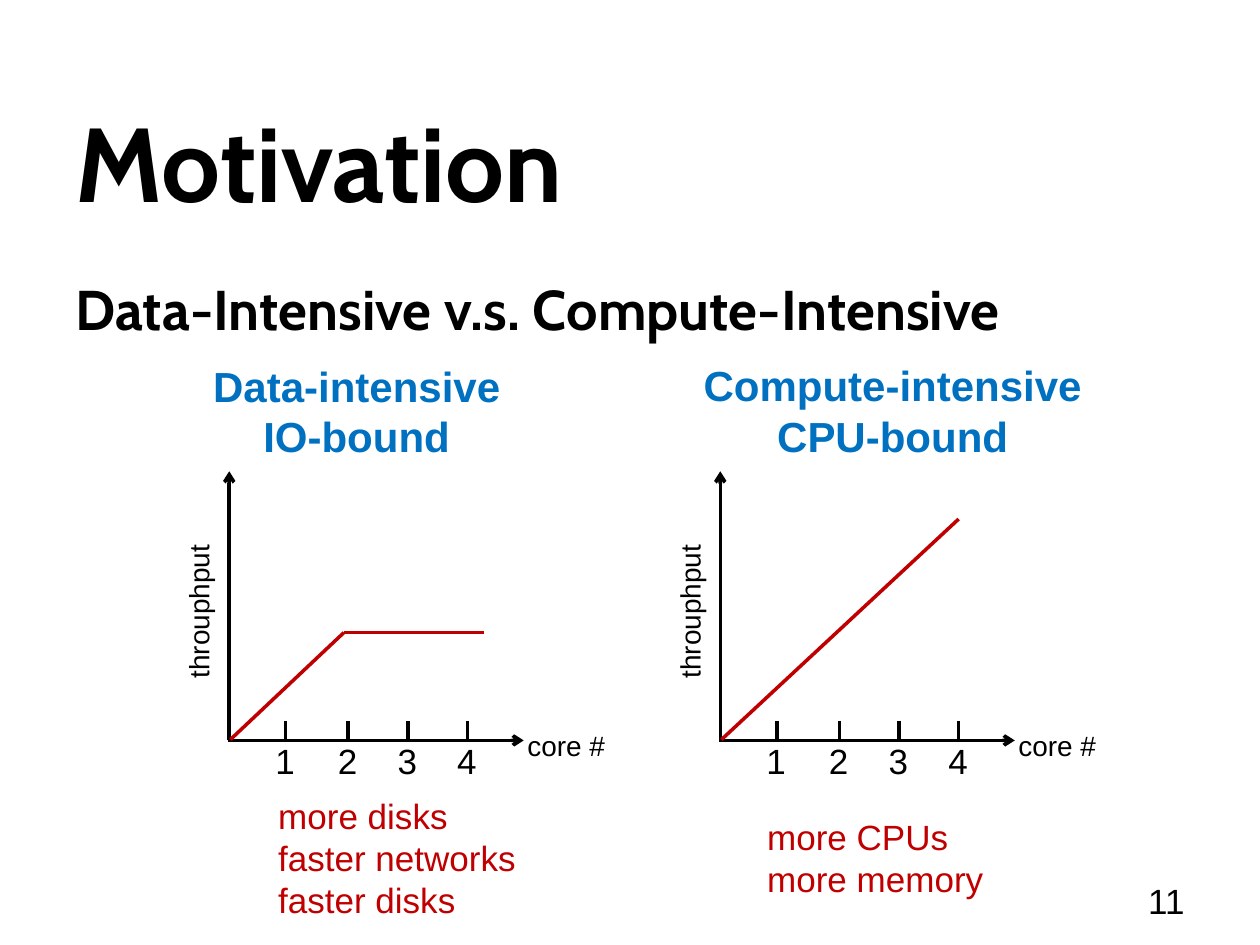
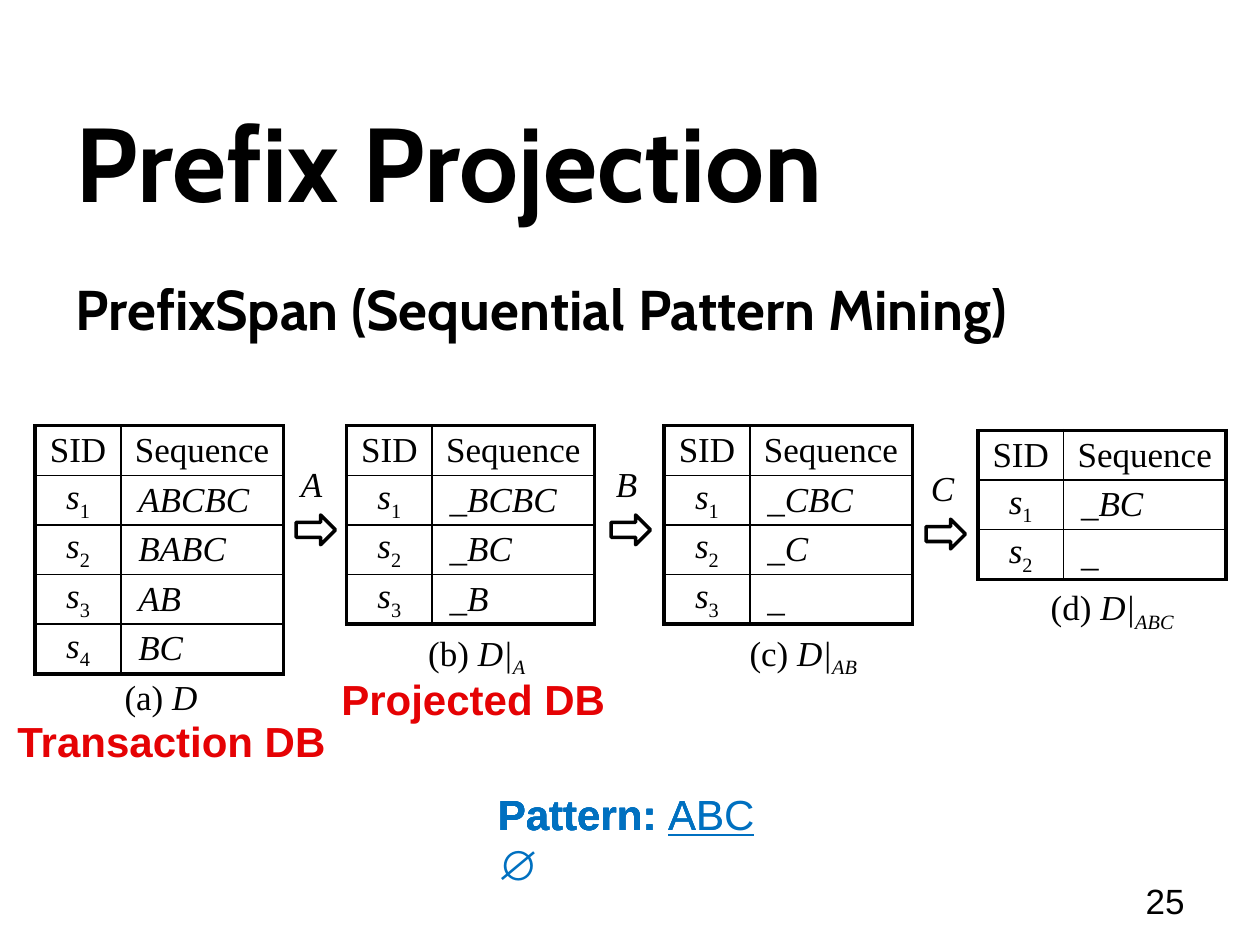
from pptx import Presentation
from pptx.dml.color import RGBColor as Rgb
from pptx.enum.shapes import MSO_CONNECTOR as Conn, MSO_SHAPE as Shape
from pptx.enum.text import MSO_ANCHOR as Anchor, MSO_AUTO_SIZE as Auto, PP_ALIGN as Align
from pptx.oxml import parse_xml
from pptx.oxml.ns import nsdecls
from pptx.oxml.xmlchemy import OxmlElement as Elem
from pptx.util import Pt

INK = {"black": "000000", "blue": "0070C0", "dark": "C00000", "red": "E50204"}

# Text looks
HEAD = {"name": "Cabin", "size": Pt(60), "bold": True, "ink": "black"}
LEAD = {**HEAD, "size": Pt(32)}
NUM = {"name": "Arial", "size": Pt(20), "ink": "black"}
AXIS = {**NUM, "size": Pt(16)}
KIND = {**NUM, "size": Pt(24), "bold": True, "ink": "blue"}
NEED = {**NUM, "ink": "dark"}
MARK = {**KIND, "ink": "red"}
MATH = {**NUM, "name": "Times New Roman"}

# Changes within a line
ITAL = {"italic": True}
SUB = {"sub": True}
PLAIN = {"bold": False}
UNDER = {"bold": False, "underline": True}


def put(frame, paras, look, align=Align.LEFT):
    """Write paragraphs, each a list of (text, changes to the look)."""
    for i, runs in enumerate(paras):
        para = frame.add_paragraph() if i else frame.paragraphs[0]
        para.alignment = align
        for text, diff in runs:
            run = para.add_run()
            run.text = text
            for key, val in {**look, **diff}.items():
                if key == "ink":
                    run.font.color.rgb = Rgb.from_string(INK[val])
                elif key == "sub":
                    run.font._element.set("baseline", "-25000")
                else:
                    setattr(run.font, key, val)


def line(slide, x1, y1, x2, y2, ink="black", arrow=False):
    item = slide.shapes.add_connector(Conn.STRAIGHT, Pt(x1), Pt(y1), Pt(x2), Pt(y2))
    item.line.color.rgb = Rgb.from_string(INK[ink])
    item.line.width = Pt(2)
    props = item._element.spPr
    if arrow:
        tip = Elem("a:tailEnd")
        tip.set("type", "arrow")
        props.find("{*}ln").append(tip)
    props.append(Elem("a:effectLst"))


deck = Presentation()
deck.slide_width, deck.slide_height = Pt(720), Pt(540)

# Title, lead line and page number of each slide
pages = []
for title, lead, page in [
    ("Motivation", "Data-Intensive v.s. Compute-Intensive", "11"),
    ("Prefix Projection", "PrefixSpan (Sequential Pattern Mining)", "25"),
]:
    slide = deck.slides.add_slide(deck.slide_layouts[1])
    pages.append(slide)
    head, body = slide.placeholders
    foot = slide.shapes.add_textbox(Pt(516), Pt(500.4), Pt(168), Pt(28.8))
    for item, box, anchor in [
        (head, (36, 46.8, 648, 90), Anchor.MIDDLE),
        (body, (36, 153.4, 670, 332.6), Anchor.TOP),
        (foot, (516, 500.4, 168, 28.8), Anchor.MIDDLE),
    ]:
        item.left, item.top, item.width, item.height = map(Pt, box)
        frame = item.text_frame
        for key, val in {"auto_size": Auto.NONE, "word_wrap": True,
                         "vertical_anchor": anchor}.items():
            setattr(frame, key, val)
    props = body.text_frame.paragraphs[0]._p.get_or_add_pPr()
    props.set("marL", "0")
    props.set("indent", "0")
    props.append(Elem("a:buNone"))
    body.text_frame.paragraphs[0].space_before = Pt(0)
    put(head.text_frame, [[(title, {})]], HEAD)
    put(body.text_frame, [[(lead, {})]], LEAD)
    put(foot.text_frame, [[(page, {})]], NUM, Align.RIGHT)

graph, span = pages
notes = []  # slide, box, paragraphs, look, alignment, rotation

# Throughput graphs
BASE = 423.1
for x, kind, kbox, curve, needs, nbox in [
    (131, ["Data-intensive", "IO-bound"], (113.8, 202.3, 180, 65.4),
     [(0.7, 422.6), (65.5, 361.5), (145.4, 361.5)],
     ["more disks", "faster networks", "faster disks"], (151.9, 450.7, 151.2, 80)),
    (411.6, ["Compute-intensive", "CPU-bound"], (393.8, 202.1, 232.6, 65.4),
     [(0.7, 422.6), (136.2, 296.6)],
     ["more CPUs", "more memory"], (431.3, 462.2, 139, 55.4)),
]:
    line(graph, x, BASE, x, 269.3, arrow=True)
    line(graph, x - 0.6, BASE, x + 168.3, BASE, arrow=True)
    for n, step in enumerate([32.3, 68, 102.2, 136.2], 1):
        line(graph, x + step, 412, x + step, BASE)
        notes.append((graph, (x + step - 13, 419, 25.9, 31.7), [[(str(n), {})]],
                      NUM, Align.LEFT, 0))
    for (x1, y1), (x2, y2) in zip(curve, curve[1:]):
        line(graph, x + x1, y1, x + x2, y2, "dark")
    notes += [
        (graph, (x + 163.3, 412.6, 59.8, 26.6), [[("core #", {})]], AXIS, Align.LEFT, 0),
        (graph, (x - 63.2, 335.7, 91.4, 26.6), [[("throuphput", {})]], AXIS, Align.LEFT, 270),
        (graph, kbox, [[(row, {})] for row in kind], KIND, Align.CENTER, 0),
        (graph, nbox, [[(row, {})] for row in needs], NEED, Align.LEFT, 0),
    ]

# Sequence tables
COLS, HIGH = (49, 92.8), 28.35
for x, y, seqs, tag, name, prefix, cbox in [
    (20.1, 243.3, ["ABCBC", "BABC", "AB", "BC"], "(a) ", "D", "", (64.1, 382.3, 57.6)),
    (198, 243.3, ["_BCBC", "_BC", "_B"], "(b) ", "D|", "A", (237.6, 357.1, 71.3)),
    (379.5, 243.3, ["_CBC", "_C", "_"], "(c) ", "D|", "AB", (421.2, 357.1, 78.5)),
    (558.8, 246, ["_BC", "_"], "(d) ", "D|", "ABC", (593.3, 331.2, 88.6)),
]:
    rows = len(seqs) + 1
    grid = span.shapes.add_table(rows, 2, Pt(x), Pt(y), Pt(sum(COLS)), Pt(HIGH * rows)).table
    grid.first_row = grid.horz_banding = False
    for col, wide in zip(grid.columns, COLS):
        col.width = Pt(wide)
    cells = [[[("SID", {})], [("Sequence", {})]]]
    cells += [[[("s", ITAL), (str(n), SUB)], [(seq, ITAL)]] for n, seq in enumerate(seqs, 1)]
    for r, row in enumerate(cells):
        grid.rows[r].height = Pt(HIGH)
        for c, runs in enumerate(row):
            cell = grid.cell(r, c)
            seq = r > 0 and c == 1
            for key, val in {"margin_left": Pt(10 if seq else 5), "margin_right": Pt(5),
                             "margin_top": 0, "margin_bottom": 0,
                             "vertical_anchor": Anchor.MIDDLE}.items():
                setattr(cell, key, val)
            put(cell.text_frame, [runs], MATH, Align.LEFT if seq else Align.CENTER)
            # Heavy frame outside, thin rules inside
            edges = {"L": c == 0, "R": c == 1, "T": r == 0, "B": r == rows - 1}
            for side, outer in edges.items():
                cell._tc.get_or_add_tcPr().append(parse_xml(
                    f'<a:ln{side} {nsdecls("a")} w="{Pt(2.25 if outer else 1)}"><a:solidFill>'
                    f'<a:srgbClr val="{INK["black"]}"/></a:solidFill></a:ln{side}>'))
            cell.fill.background()
    runs = [(tag, {}), (name, ITAL)]
    if prefix:
        runs.append((prefix, {**ITAL, **SUB}))
    notes.append((span, (*cbox, 31.5), [runs], MATH, Align.LEFT, 0))

# Projection steps between tables
for n, (step, drop) in enumerate([("A", 0), ("B", 0), ("C", 2.4)]):
    x = 169.2 + 180 * n
    arrow = span.shapes.add_shape(Shape.RIGHT_ARROW, Pt(x), Pt(294.3 + drop), Pt(22.5), Pt(17))
    arrow.shadow.inherit = False
    arrow.fill.background()
    arrow.line.color.rgb = Rgb.from_string(INK["black"])
    arrow.line.width = Pt(2)
    notes.append((span, (x - 4.3, 260.6 + drop, 27, 31.5), [[(step, ITAL)]],
                  MATH, Align.LEFT, 0))

# Growing pattern and database names
for old, new, diff, wide in [("", "∅", PLAIN, 126), ("", "A", UNDER, 129),
                             ("A", "B", UNDER, 145.4), ("AB", "C", UNDER, 161.3)]:
    runs = [("Pattern: ", {}), (old, UNDER), (new, diff)]
    notes.append((span, (277.4, 446.9, wide, 36.3), [[run for run in runs if run[0]]],
                  KIND, Align.LEFT, 0))
for name, box in [("Transaction DB", (2.9, 405.4, 192.2, 36.3)),
                  ("Projected DB", (188, 381.5, 167, 36.3))]:
    notes.append((span, box, [[(name, {})]], MARK, Align.LEFT, 0))

# Text boxes
for slide, box, paras, look, align, turn in notes:
    item = slide.shapes.add_textbox(*map(Pt, box))
    item.rotation = turn
    item.text_frame.word_wrap = paras[0][-1][0] == "∅"
    item.text_frame.auto_size = Auto.SHAPE_TO_FIT_TEXT
    put(item.text_frame, paras, look, align)

deck.save("out.pptx")
